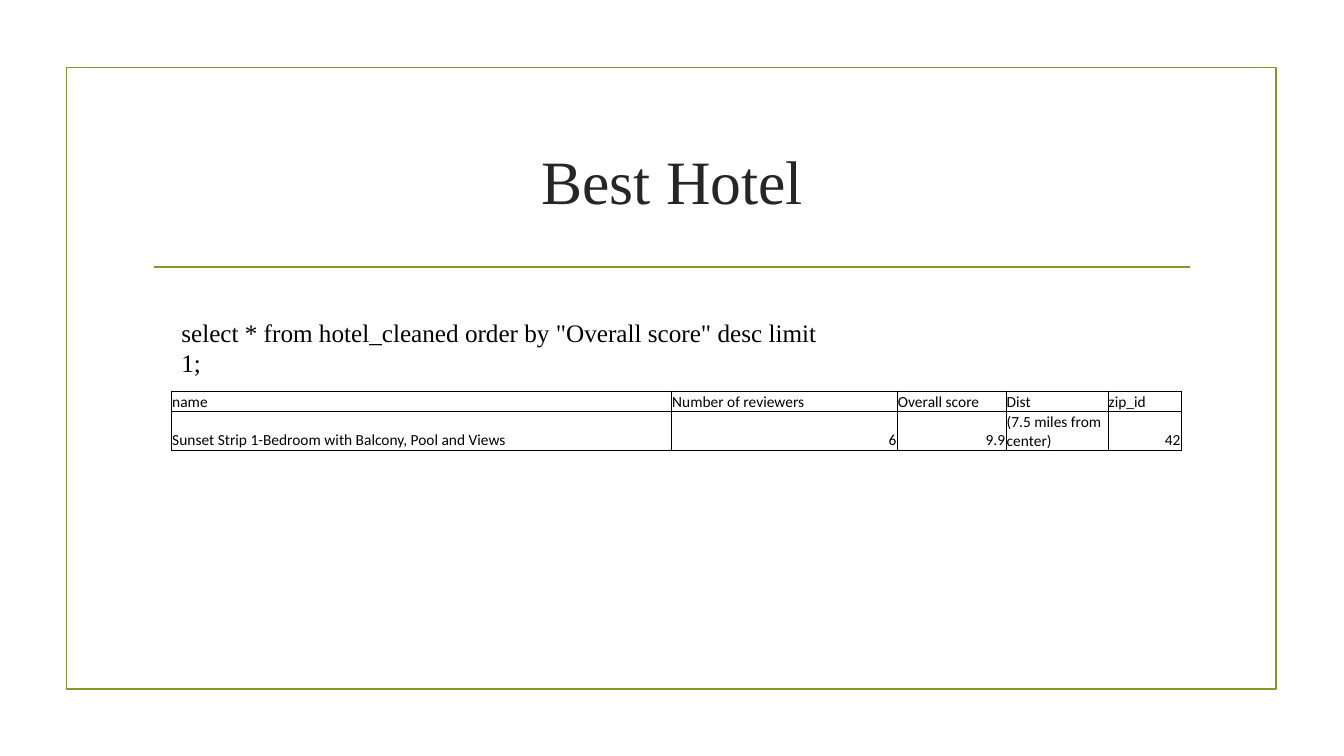
from dataclasses import dataclass

from lxml import etree
from pptx import Presentation
from pptx.dml.color import RGBColor
from pptx.enum import shapes, text
from pptx.oxml import ns
from pptx.util import Cm, Pt


@dataclass(frozen=True)
class Theme:
    olive: RGBColor = RGBColor(0x83, 0x99, 0x2A)
    heading: RGBColor = RGBColor(0x26, 0x26, 0x26)
    ink: RGBColor = RGBColor(0, 0, 0)
    serif: str = "Times New Roman"
    sans: str = "Calibri"
    heading_size: float = 44
    query_size: float = 18
    table_size: float = 11
    rule_width: float = 1.25
    border_width: float = 0.5


@dataclass(frozen=True)
class Caption:
    words: str
    left: float
    top: float
    width: float
    height: float
    size: float
    color: RGBColor
    align: text.PP_ALIGN
    anchor: text.MSO_ANCHOR


@dataclass(frozen=True)
class Column:
    header: str
    value: str
    width: float
    value_align: text.PP_ALIGN = text.PP_ALIGN.LEFT


THEME = Theme()
CAPTIONS = (
    Caption("Best Hotel", 3.61, 2.72, 26.67, 3.63, THEME.heading_size, THEME.heading,
            text.PP_ALIGN.CENTER, text.MSO_ANCHOR.MIDDLE),
    Caption('select * from hotel_cleaned order by "Overall score" desc limit 1;',
            4.32, 7.87, 16.69, 1.02, THEME.query_size, THEME.ink,
            text.PP_ALIGN.LEFT, text.MSO_ANCHOR.TOP),
)
COLUMNS = (
    Column("name", "Sunset Strip 1-Bedroom with Balcony, Pool and Views", 12.6),
    Column("Number of reviewers", "6", 5.69, text.PP_ALIGN.RIGHT),
    Column("Overall score", "9.9", 2.74, text.PP_ALIGN.RIGHT),
    Column("Dist", "(7.5 miles from center)", 2.57),
    Column("zip_id", "42", 1.85, text.PP_ALIGN.RIGHT),
)
ROW_HEIGHTS = (0.51, 0.97)


def style_paragraph(paragraph, face: str, size: float, color: RGBColor,
                    align: text.PP_ALIGN) -> None:
    """Set the font and alignment of one paragraph."""
    paragraph.alignment = align
    paragraph.font.name = face
    paragraph.font.size = Pt(size)
    paragraph.font.color.rgb = color


def add_frame(slide) -> None:
    """Draw the olive frame and the rule under the title."""
    frame = slide.shapes.add_shape(shapes.MSO_SHAPE.RECTANGLE,
                                   Cm(1.68), Cm(1.7), Cm(30.48), Cm(15.67))
    frame.shadow.inherit = False
    frame.fill.background()
    rule = slide.shapes.add_connector(shapes.MSO_CONNECTOR.STRAIGHT,
                                      Cm(3.89), Cm(6.73), Cm(30), Cm(6.73))
    etree.SubElement(rule._element.spPr, ns.qn("a:effectLst"))
    for outlined in (frame, rule):
        outlined.line.color.rgb = THEME.olive
        outlined.line.width = Pt(THEME.rule_width)


def add_caption(slide, caption: Caption) -> None:
    """Place one wrapped line of serif text."""
    box = slide.shapes.add_textbox(Cm(caption.left), Cm(caption.top),
                                   Cm(caption.width), Cm(caption.height))
    body = box.text_frame
    body.word_wrap = True
    body.vertical_anchor = caption.anchor
    body.text = caption.words
    style_paragraph(body.paragraphs[0], THEME.serif, caption.size, caption.color,
                    caption.align)


def add_borders(cell) -> None:
    """Put a thin line on all four sides of a cell."""
    properties = cell._tc.get_or_add_tcPr()
    for position, side in enumerate(("lnL", "lnR", "lnT", "lnB")):
        border = etree.Element(ns.qn(f"a:{side}"), w=str(Pt(THEME.border_width)))
        fill = etree.SubElement(border, ns.qn("a:solidFill"))
        etree.SubElement(fill, ns.qn("a:srgbClr"), val=str(THEME.ink))
        properties.insert(position, border)


def fill_cell(cell, words: str, align: text.PP_ALIGN) -> None:
    """Write one bordered, unfilled table cell."""
    cell.text = words
    cell.fill.background()
    cell.vertical_anchor = text.MSO_ANCHOR.BOTTOM
    cell.margin_left = cell.margin_right = cell.margin_top = Cm(0.02)
    cell.margin_bottom = Cm(0)
    style_paragraph(cell.text_frame.paragraphs[0], THEME.sans, THEME.table_size,
                    THEME.ink, align)
    add_borders(cell)


def add_hotel_table(slide) -> None:
    """Build the query result table."""
    hotel = slide.shapes.add_table(
        len(ROW_HEIGHTS), len(COLUMNS), Cm(4.32), Cm(9.86),
        Cm(sum(column.width for column in COLUMNS)), Cm(sum(ROW_HEIGHTS))).table
    hotel.first_row = hotel.horz_banding = False
    for row, height in zip(hotel.rows, ROW_HEIGHTS):
        row.height = Cm(height)
    for index, column in enumerate(COLUMNS):
        hotel.columns[index].width = Cm(column.width)
        fill_cell(hotel.cell(0, index), column.header, text.PP_ALIGN.LEFT)
        fill_cell(hotel.cell(1, index), column.value, column.value_align)


def main() -> None:
    """Build and save the slide."""
    deck = Presentation()
    deck.slide_width, deck.slide_height = Cm(33.87), Cm(19.05)
    slide = deck.slides.add_slide(deck.slide_layouts[6])
    add_frame(slide)
    title, query = CAPTIONS
    add_caption(slide, title)
    add_hotel_table(slide)
    add_caption(slide, query)
    deck.save("out.pptx")


if __name__ == "__main__":
    main()
